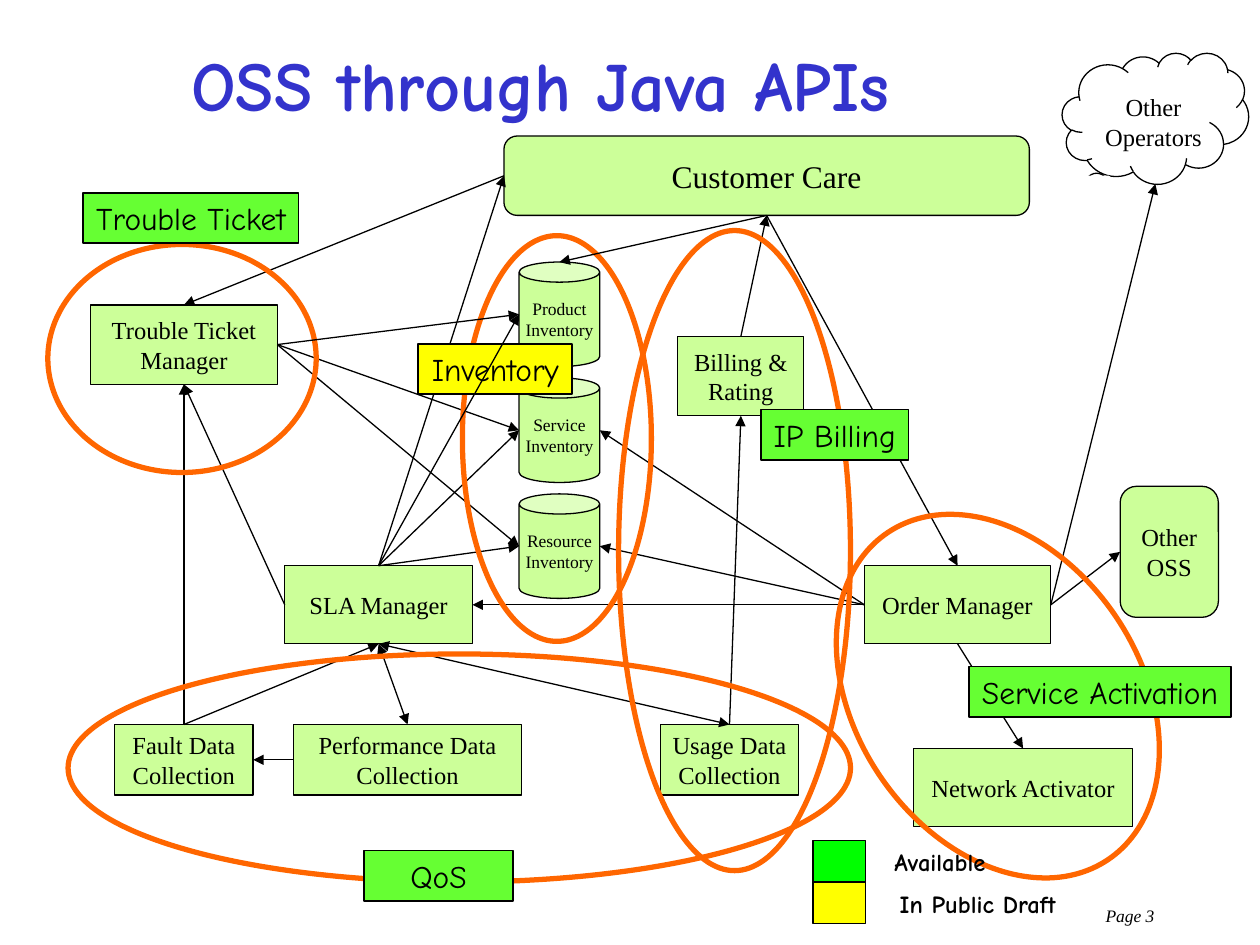
from typing import NamedTuple

from lxml import etree
from pptx import Presentation
from pptx.dml.color import RGBColor
from pptx.enum.shapes import MSO_CONNECTOR, MSO_SHAPE
from pptx.enum.text import MSO_ANCHOR, PP_ALIGN
from pptx.oxml.ns import qn
from pptx.util import Inches, Pt

RECT, ROUND, CAN = MSO_SHAPE.RECTANGLE, MSO_SHAPE.ROUNDED_RECTANGLE, MSO_SHAPE.CAN
OVAL, CLOUD = MSO_SHAPE.OVAL, MSO_SHAPE.CLOUD_CALLOUT
STRAIGHT = MSO_CONNECTOR.STRAIGHT
LEFT, MID, RIGHT = PP_ALIGN.LEFT, PP_ALIGN.CENTER, PP_ALIGN.RIGHT
TOP, WEST, BASE, EAST = range(4)
SERIF, COMIC = "Times New Roman", "Comic Neue"
COLORS = {
    "box": "CCFF99", "ink": "000000", "title": "3333CC", "ring": "FF6600",
    "ready": "66FF33", "green": "00FF00", "draft": "FFFF00", "white": "FFFFFF",
}

# Grid of 100 columns by 75 rows
WIDE, HIGH = Inches(10), Inches(7.5)
COLS, ROWS = 100, 75


class Area(NamedTuple):
    col: float
    row: float
    wide: float
    high: float


class Node(NamedTuple):
    key: str
    text: str
    area: Area
    kind: int = RECT
    size: int = 14


class Link(NamedTuple):
    start: str
    out: int
    end: str
    into: int
    both: bool = False


class Ring(NamedTuple):
    area: Area
    turn: float = 0


class Tag(NamedTuple):
    text: str
    area: Area
    fill: str = "ready"


class Label(NamedTuple):
    text: str
    area: Area
    size: int
    font: str = SERIF
    color: str = "ink"
    bold: bool = False
    slant: bool = False
    align: int = MID


DATA_ROW, DATA_HIGH = 57.5, 5.6
CAN_ROW, CAN_STEP = 20.8, 9.2
NODES = [
    Node("care", "Customer Care", Area(40, 10.8, 41.7, 6.3), ROUND, 18),
    Node("ticket", "Trouble Ticket\vManager", Area(7.2, 24.2, 14.8, 6.3)),
    Node("sla", "SLA Manager", Area(22.6, 44.9, 14.9, 6.2)),
    Node("order", "Order Manager", Area(68.6, 44.9, 14.8, 6.2)),
    Node("bill", "Billing &\vRating", Area(53.8, 26.7, 10, 6.3)),
    Node("fault", "Fault Data\vCollection", Area(9.1, DATA_ROW, 11, DATA_HIGH)),
    Node("perf", "Performance Data\vCollection",
         Area(23.3, DATA_ROW, 18.1, DATA_HIGH)),
    Node("usage", "Usage Data\vCollection", Area(52.4, DATA_ROW, 11, DATA_HIGH)),
    Node("net", "Network Activator", Area(72.5, 59.4, 17.4, 6.2)),
    Node("other", "Other\vOSS", Area(88.9, 38.6, 7.8, 10.4), ROUND),
    Node("cloud", "", Area(84.3, 4.2, 14.8, 10.4), CLOUD),
] + [
    Node(name.lower(), f"{name}\vInventory",
         Area(41.2, CAN_ROW + i * CAN_STEP, 6.4, 8.3), CAN, 10)
    for i, name in enumerate(["Product", "Service", "Resource"])
]
LINKS = [
    Link("care", BASE, "order", TOP),
    Link("care", WEST, "ticket", TOP),
    Link("order", EAST, "cloud", BASE),
    Link("order", EAST, "other", WEST),
    Link("order", WEST, "service", EAST),
    Link("order", WEST, "resource", EAST),
    Link("order", WEST, "sla", EAST),
    Link("order", BASE, "net", TOP),
    Link("sla", BASE, "usage", TOP, True),
    Link("sla", BASE, "perf", TOP, True),
    Link("sla", TOP, "service", WEST),
    Link("sla", TOP, "resource", WEST),
    Link("sla", TOP, "care", WEST),
    Link("sla", WEST, "ticket", BASE),
    Link("perf", WEST, "fault", EAST),
    Link("fault", TOP, "sla", BASE),
    Link("fault", TOP, "ticket", BASE),
    Link("ticket", EAST, "service", WEST),
    Link("ticket", EAST, "resource", WEST),
    Link("usage", TOP, "bill", BASE),
    Link("bill", TOP, "care", BASE),
]
# These run in front of the tags
FRONT = [
    Link("care", BASE, "product", TOP),
    Link("sla", TOP, "product", WEST),
    Link("ticket", EAST, "product", WEST),
]
RINGS = [
    Ring(Area(3.8, 19.4, 21.3, 18.1)),
    Ring(Area(67.9, 39.6, 22.6, 31.3), 326),
    Ring(Area(36.7, 18.7, 15, 32.2)),
    Ring(Area(5.4, 51.9, 62.1, 18.1)),
    Ring(Area(49.1, 18.3, 18.4, 50.8)),
]
TAGS = [
    Tag("Trouble Ticket", Area(6.6, 15.3, 17.1, 4)),
    Tag("Service Activation", Area(76.9, 52.9, 20.8, 4)),
    Tag("QoS", Area(28.9, 67.5, 11.8, 4)),
    Tag("IP Billing", Area(60.4, 32.5, 11.7, 4)),
    Tag("Inventory", Area(33.2, 27.3, 12.2, 4), "draft"),
    Tag("", Area(64.5, 66.7, 4.2, 3.3), "green"),
    Tag("", Area(64.5, 70, 4.2, 3.3), "draft"),
]
LABELS = [
    Label("Other\vOperators", Area(86.7, 6.8, 9.7, 5.7), 14),
    Label("Available", Area(70, 66.7, 9.2, 3.4), 14, COMIC, bold=True),
    Label("In Public Draft", Area(70.4, 70, 14.4, 3.4), 14, COMIC, bold=True),
    Label("Page 3", Area(16.7, 71.3, 75.9, 2.7), 10, slant=True, align=RIGHT),
]
TITLE = Label("OSS through Java APIs", Area(14.2, 2.5, 78.3, 10), 40, COMIC,
              "title", True, align=LEFT)
# Covers the cloud's tail
PATCH = [(83.4, 17.1), (83.8, 15.1), (84.8, 14.3), (86.6, 13.5), (88.1, 14),
         (88.7, 15.3), (88.8, 16.7), (87.5, 17.9), (86.1, 18.7), (84.5, 17.7)]


def place(area: Area) -> tuple[int, int, int, int]:
    x, y = WIDE / COLS, HIGH / ROWS
    return (round(area.col * x), round(area.row * y),
            round(area.wide * x), round(area.high * y))


def tint(name: str) -> RGBColor:
    return RGBColor.from_string(COLORS[name])


def paint(shape, fill: str | None, line: str, width: float) -> None:
    shape.shadow.inherit = False
    if fill:
        shape.fill.solid()
        shape.fill.fore_color.rgb = tint(fill)
    else:
        shape.fill.background()
    shape.line.color.rgb = tint(line)
    shape.line.width = Pt(width)


def write(shape, look: Label, wrap: bool = False) -> None:
    frame = shape.text_frame
    frame.text = look.text
    frame.word_wrap = wrap
    frame.vertical_anchor = MSO_ANCHOR.MIDDLE
    para = frame.paragraphs[0]
    para.alignment = look.align
    font = para.font
    font.name, font.size = look.font, Pt(look.size)
    font.bold, font.italic = look.bold, look.slant
    font.color.rgb = tint(look.color)


def add_shape(slide, kind: int, area: Area, fill: str | None,
              line: str = "ink", width: float = 0.75):
    shape = slide.shapes.add_shape(kind, *place(area))
    paint(shape, fill, line, width)
    return shape


def add_node(slide, node: Node):
    cloud = node.kind == CLOUD
    shape = add_shape(slide, node.kind, node.area, None if cloud else "box")
    if cloud:
        shape.adjustments[0], shape.adjustments[1] = -0.44, 0.7
    if node.text:
        write(shape, Label(node.text, node.area, node.size))
    return shape


def add_label(slide, look: Label, wrap: bool = False):
    box = slide.shapes.add_textbox(*place(look.area))
    write(box, look, wrap)
    return box


def side(shape, spot: int) -> tuple[int, int]:
    across, down = [(1, 0), (0, 1), (1, 2), (2, 1)][spot]
    return (shape.left + shape.width * across // 2,
            shape.top + shape.height * down // 2)


def add_link(slide, parts: dict, link: Link) -> None:
    start, end = parts[link.start], parts[link.end]
    line = slide.shapes.add_connector(
        STRAIGHT, *side(start, link.out), *side(end, link.into))
    line.line.color.rgb = tint("ink")
    line.line.width = Pt(0.75)
    line.begin_connect(start, link.out)
    if end.auto_shape_type in (RECT, ROUND):
        line.end_connect(end, link.into)
    props = line.element.spPr
    for tip in ["a:headEnd", "a:tailEnd"] if link.both else ["a:tailEnd"]:
        etree.SubElement(props.find(qn("a:ln")), qn(tip), type="triangle")
    etree.SubElement(props, qn("a:effectLst"))


def main() -> None:
    deck = Presentation()
    deck.slide_width, deck.slide_height = WIDE, HIGH
    slide = deck.slides.add_slide(deck.slide_layouts[6])

    # Title
    para = add_label(slide, TITLE, True).text_frame.paragraphs[0]
    para.line_spacing, para.space_before = 0.68, Pt(10)

    # Systems, stores and the cloud
    parts = {node.key: add_node(slide, node) for node in NODES}
    pen = slide.shapes.build_freeform(*PATCH[0], scale=WIDE / COLS)
    pen.add_line_segments(PATCH[1:])
    paint(pen.convert_to_shape(), "white", "white", 0.75)

    # Links, rings and tags
    for link in LINKS:
        add_link(slide, parts, link)
    for ring in RINGS:
        add_shape(slide, OVAL, ring.area, None, "ring", 3).rotation = ring.turn
    for tag in TAGS:
        shape = add_shape(slide, RECT, tag.area, tag.fill, width=1)
        if tag.text:
            write(shape, Label(tag.text, tag.area, 18, COMIC))
    for link in FRONT:
        add_link(slide, parts, link)

    # Cloud text, legend and page number
    for look in LABELS:
        add_label(slide, look)
    deck.save("out.pptx")


if __name__ == "__main__":
    main()
